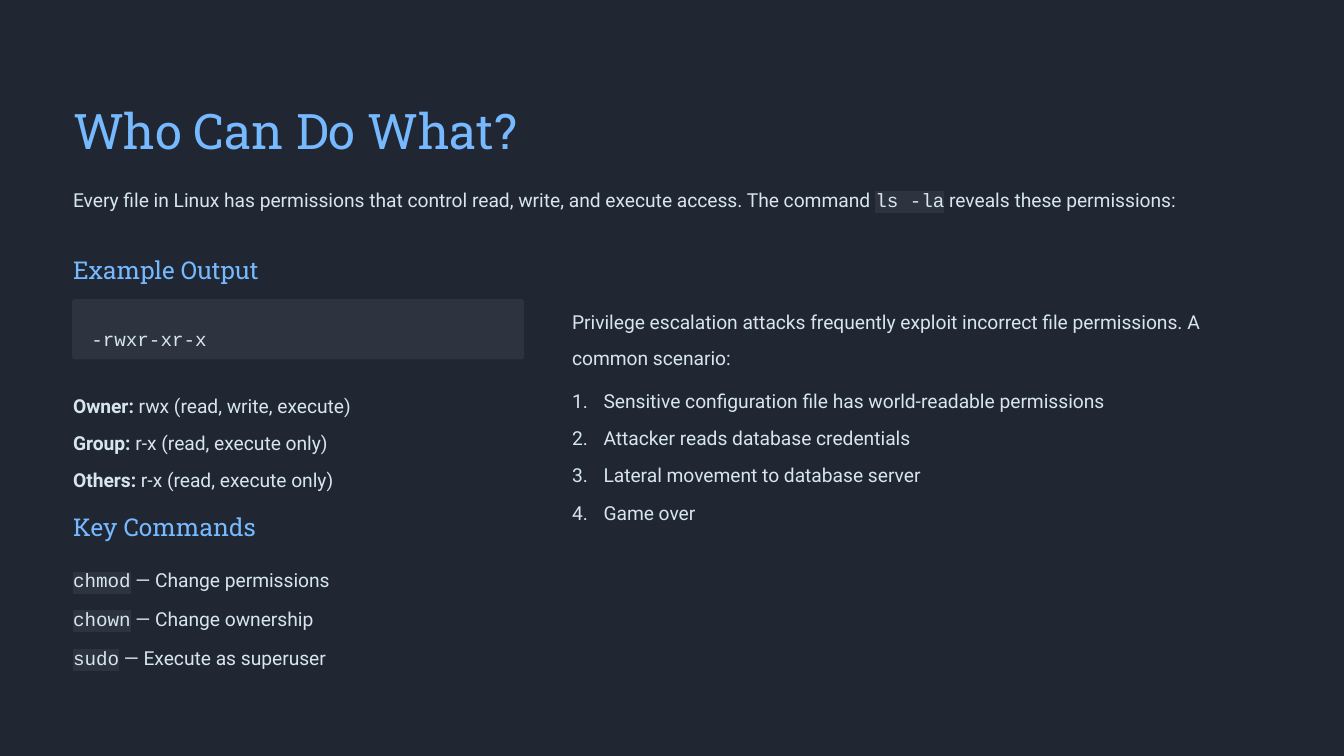
import pptx
import pptx.util
import pptx.dml.color
import pptx.enum.shapes
import pptx.oxml
import pptx.oxml.ns
from lxml import etree

Pt = pptx.util.Pt
RGBColor = pptx.dml.color.RGBColor
qn = pptx.oxml.ns.qn

NAVY = RGBColor(0x20, 0x27, 0x33)
PANEL = RGBColor(0x2D, 0x34, 0x40)
BLUE = RGBColor(0x76, 0xB9, 0xFF)
PALE = RGBColor(0xD6, 0xE5, 0xEF)

TITLE = {"name": "Roboto Slab", "size": Pt(42), "color": BLUE}
HEADING = {"name": "Roboto Slab", "size": Pt(21), "color": BLUE}
BODY = {"name": "Roboto", "size": Pt(16.5), "color": PALE}
BOLD = {**BODY, "bold": True}
CODE = {**BODY, "name": "Courier New", "highlight": PANEL}

LEFT, RIGHT = 62.64, 490.3
LEFT_WIDTH, RIGHT_WIDTH = 386, 600
LINE = 26.8
HEADING_SPACING, BODY_SPACING = 1.26, 1.58

PERMISSIONS = [
    ("Owner:", " rwx (read, write, execute)"),
    ("Group:", " r-x (read, execute only)"),
    ("Others:", " r-x (read, execute only)"),
]
COMMANDS = [
    ("chmod", " — Change permissions"),
    ("chown", " — Change ownership"),
    ("sudo", " — Execute as superuser"),
]
SCENARIO = [
    "Sensitive configuration file has world-readable permissions",
    "Attacker reads database credentials",
    "Lateral movement to database server",
    "Game over",
]


def add_highlight(r, color):
    """Put a colour behind the run; the element must follow the text fill."""
    highlight = etree.Element(qn("a:highlight"))
    etree.SubElement(highlight, qn("a:srgbClr"), val=str(color))
    r.font._element.find(qn("a:solidFill")).addnext(highlight)


def add_run(p, text, style):
    r = p.add_run()
    r.text = text
    for key, value in style.items():
        if key == "color":
            r.font.color.rgb = value
        elif key != "highlight":
            setattr(r.font, key, value)
    if "highlight" in style:
        add_highlight(r, style["highlight"])


def add_number(p, number):
    """Give the paragraph a hanging automatic number."""
    pPr = p._p.get_or_add_pPr()
    pPr.set("marL", str(Pt(27)))
    pPr.set("indent", str(-Pt(27)))
    color = etree.SubElement(pPr, qn("a:buClr"))
    etree.SubElement(color, qn("a:srgbClr"), val=str(PALE))
    etree.SubElement(pPr, qn("a:buFont"), typeface="Roboto")
    etree.SubElement(pPr, qn("a:buAutoNum"), type="arabicPeriod", startAt=str(number))


def add_text(s, x, y, w, h, runs, spacing=BODY_SPACING, number=None):
    """Add one paragraph of (text, style) runs in a box without margins."""
    tf = s.shapes.add_textbox(Pt(x), Pt(y), Pt(w), Pt(h)).text_frame
    for side in ("left", "top", "right", "bottom"):
        setattr(tf, f"margin_{side}", 0)
    tf.word_wrap = True
    p = tf.paragraphs[0]
    if number:
        add_number(p, number)
    p.line_spacing = spacing
    for text, style in runs:
        add_run(p, text, style)


def add_heading(s, y, text):
    add_text(s, LEFT, y, 212.4, LINE, [(text, HEADING)], HEADING_SPACING)


def add_definitions(s, y, step, rows, term_style):
    for i, (term, meaning) in enumerate(rows):
        add_text(s, LEFT, y + i * step, LEFT_WIDTH, LINE,
                 [(term, term_style), (meaning, BODY)])


def add_code_panel(s, x, y, w, h, code):
    sp = s.shapes.add_shape(pptx.enum.shapes.MSO_SHAPE.ROUNDED_RECTANGLE,
                            Pt(x), Pt(y), Pt(w), Pt(h))
    sp.adjustments[0] = 0.05
    sp.shadow.inherit = False
    sp.fill.solid()
    sp.fill.fore_color.rgb = PANEL
    sp.line.fill.background()
    add_text(s, x + 16.5, y + 13, w - 33, LINE, [(code, CODE)])


def add_numbered_list(s, y, step, items):
    for i, item in enumerate(items):
        add_text(s, RIGHT, y + i * step, RIGHT_WIDTH, LINE, [(item, BODY)], number=i + 1)


def main():
    prs = pptx.Presentation()
    prs.slide_width, prs.slide_height = Pt(1152), Pt(648)
    s = prs.slides.add_slide(prs.slide_layouts[6])
    s.background.fill.solid()
    s.background.fill.fore_color.rgb = NAVY

    add_text(s, LEFT, 72.7, 424, 53.3, [("Who Can Do What?", TITLE)], HEADING_SPACING)
    add_text(s, LEFT, 149.8, 1026.7, 27.4, [
        ("Every file in Linux has permissions that control read, write, "
         "and execute access. The command ", BODY),
        ("ls -la", CODE),
        (" reveals these permissions:", BODY),
    ])

    add_heading(s, 211.7, "Example Output")
    add_code_panel(s, 61.9, 256.3, 387.4, 51.8, "-rwxr-xr-x")
    add_definitions(s, 326.3, 32, PERMISSIONS, BOLD)
    add_heading(s, 432.7, "Key Commands")
    add_definitions(s, 475.9, 33.1, COMMANDS, CODE)

    add_text(s, RIGHT, 254.2, RIGHT_WIDTH, 53.3, [
        ("Privilege escalation attacks frequently exploit incorrect file "
         "permissions. A common scenario:", BODY),
    ])
    add_numbered_list(s, 321.8, 32, SCENARIO)

    prs.save("out.pptx")


if __name__ == "__main__":
    main()
